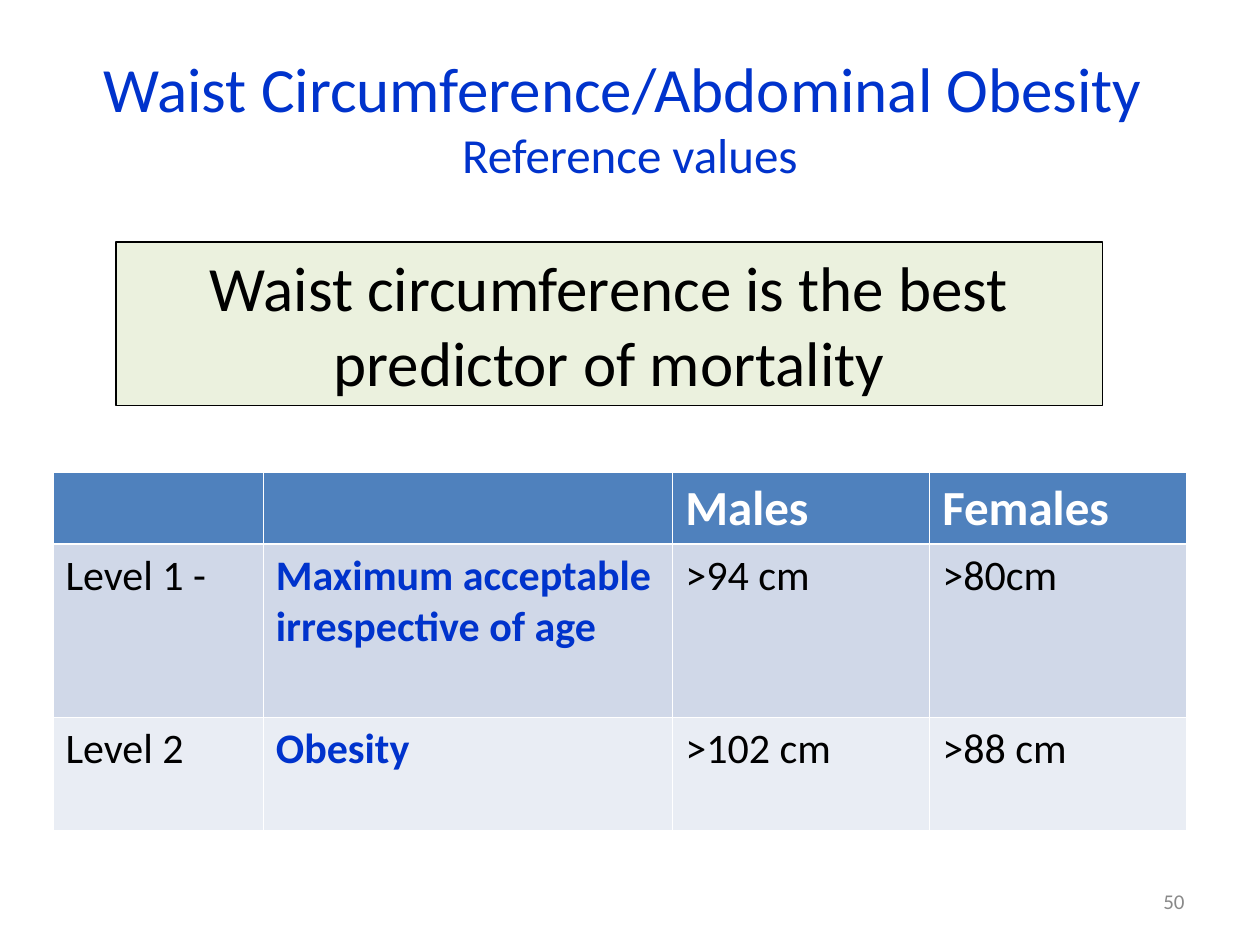
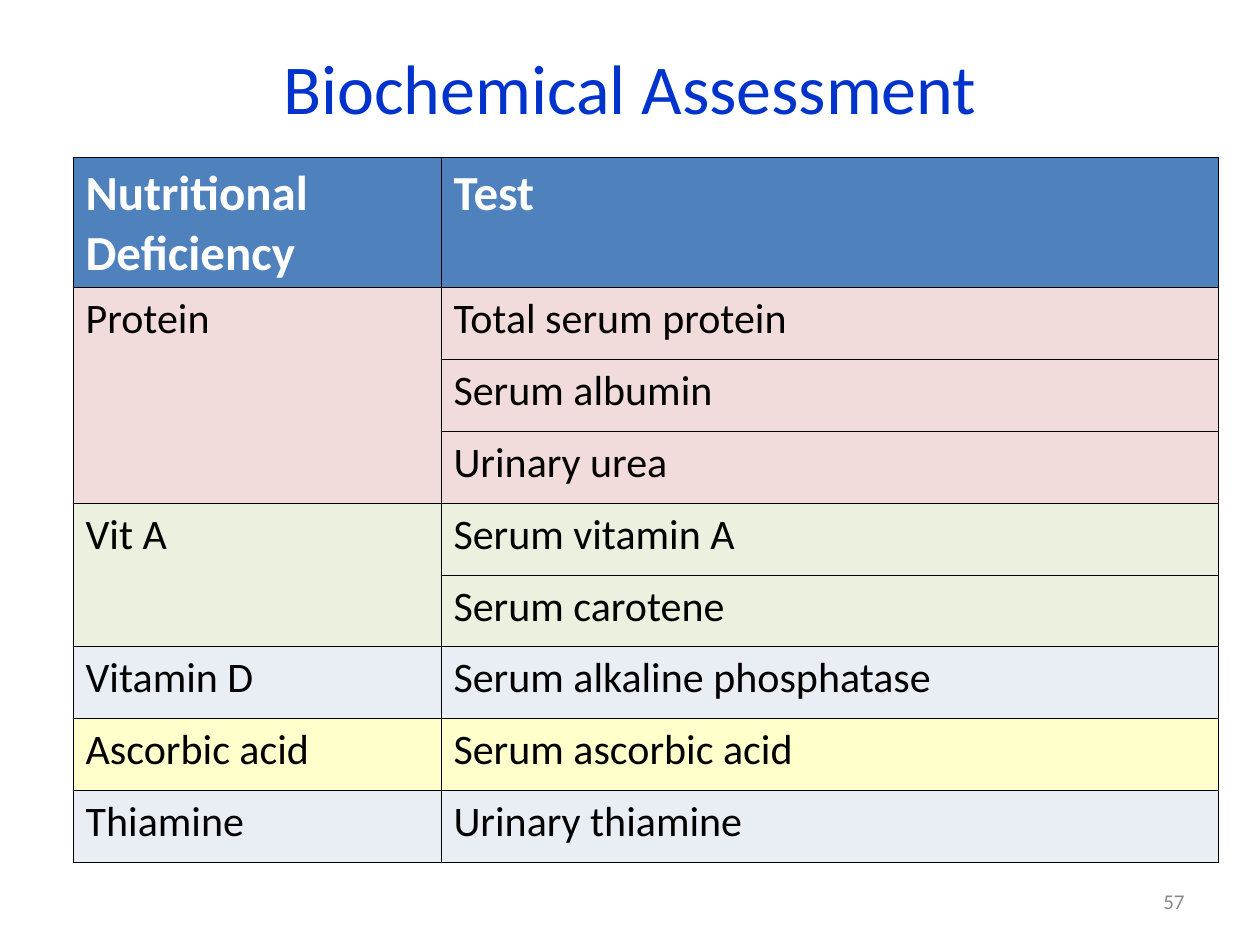
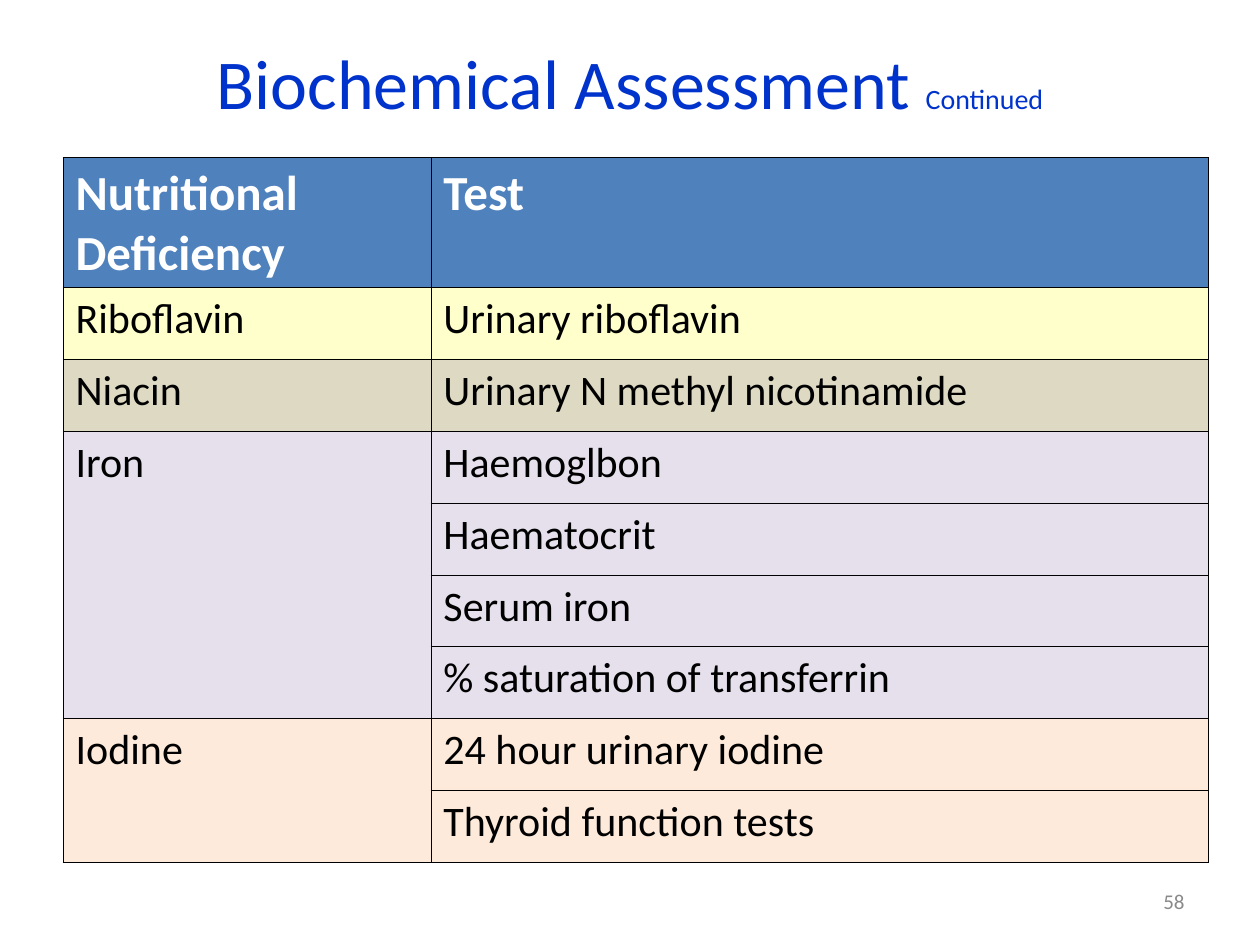
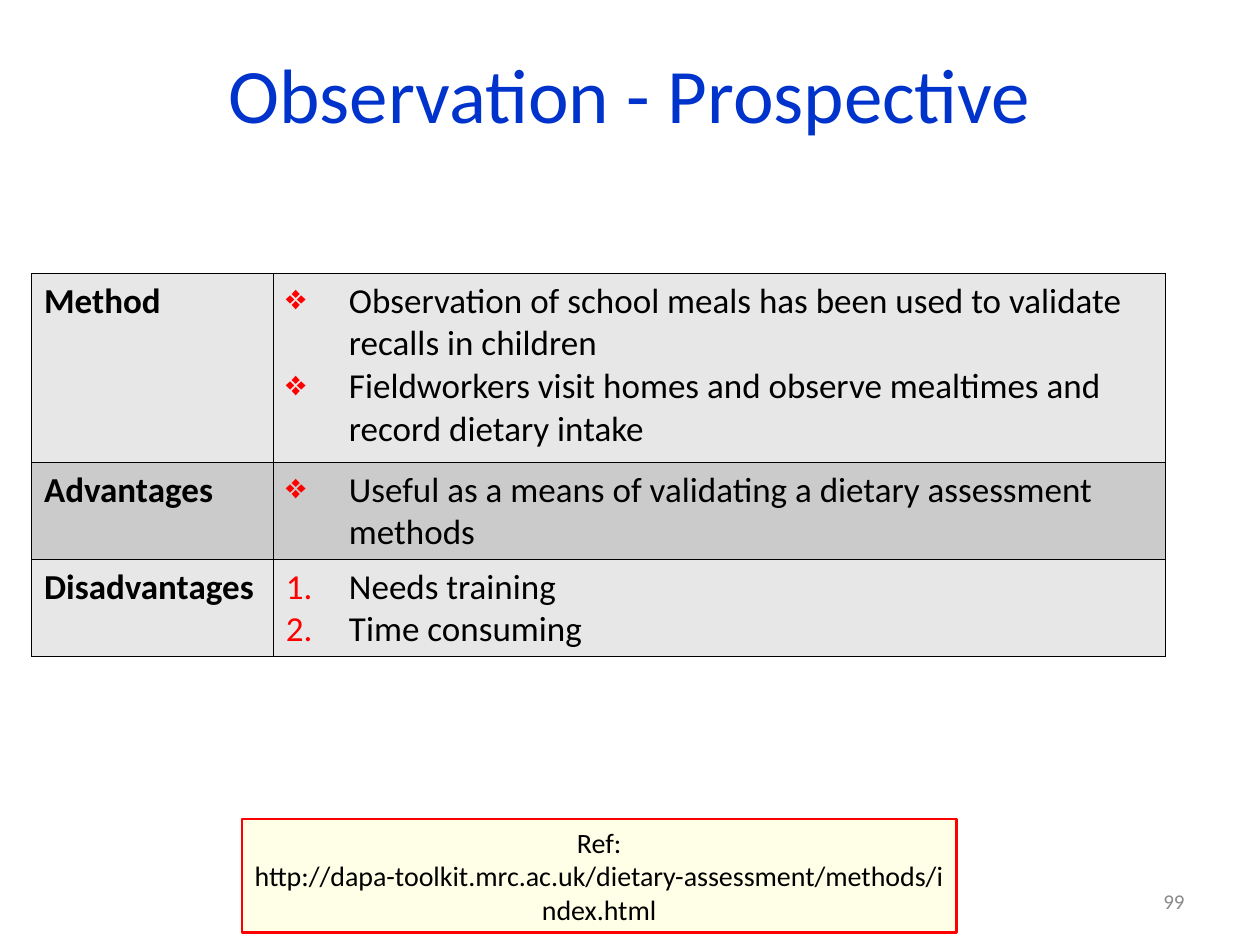
from lxml.etree import SubElement as Sub
from pptx import Presentation
from pptx.dml.color import RGBColor as RGB
from pptx.enum.shapes import MSO_SHAPE as Shape
from pptx.enum.text import MSO_ANCHOR as Anchor, MSO_AUTO_SIZE as Fit, PP_ALIGN as Align
from pptx.oxml.ns import qn
from pptx.util import Inches, Pt

# Colours
BLUE = RGB(0x00, 0x33, 0xCC)
HEAD = RGB(0x4F, 0x81, 0xBD)
BLACK = RGB(0x00, 0x00, 0x00)
WHITE = RGB(0xFF, 0xFF, 0xFF)
GREY = RGB(0x89, 0x89, 0x89)
RED = RGB(0xFF, 0x00, 0x00)
STEEL = RGB(0xD0, 0xD8, 0xE8)
ICE = RGB(0xE9, 0xED, 0xF4)
PINK = RGB(0xF2, 0xDC, 0xDB)
GREEN = RGB(0xEB, 0xF1, 0xDE)
YELLOW = RGB(0xFF, 0xFF, 0xCC)
CREAM = RGB(0xFF, 0xFF, 0xE7)
TAN = RGB(0xDD, 0xD9, 0xC3)
LILAC = RGB(0xE6, 0xE0, 0xEC)
PEACH = RGB(0xFD, 0xEA, 0xDA)
LIGHT = RGB(0xE7, 0xE7, 0xE7)
MID = RGB(0xCB, 0xCB, 0xCB)


class Deck:
    """Shared style and the current slide."""

    face = "Calibri"
    thin = 0.45

    def __init__(self):
        self.prs = Presentation()
        self.prs.slide_width = Inches(10)
        self.prs.slide_height = Inches(7.5)

    def start(self, number):
        self.slide = self.prs.slides.add_slide(self.prs.slide_layouts[5])
        box = self.slide.shapes.add_textbox(
            Inches(7.17), Inches(6.95), Inches(2.33), Inches(0.4))
        frame = box.text_frame
        frame.word_wrap = True
        frame.vertical_anchor = Anchor.MIDDLE
        frame.text = str(number)
        self.style(frame.paragraphs[0], 12, GREY, align=Align.RIGHT)

    def style(self, para, size, color, bold=False, align=Align.LEFT):
        para.alignment = align
        font = para.font
        font.name, font.size, font.bold = self.face, Pt(size), bold
        font.color.rgb = color

    def title(self, height, size, text, extra="", small=0, split=False):
        shape = self.slide.shapes.title
        shape.left, shape.top = Inches(0.5), Inches(0.3)
        shape.width, shape.height = Inches(9), Inches(height)
        frame = shape.text_frame
        frame.auto_size = Fit.NONE
        frame.vertical_anchor = Anchor.MIDDLE
        para = frame.paragraphs[0]
        para.add_run().text = text
        self.style(para, size, BLUE, align=Align.CENTER)
        if split:
            para.add_line_break()
        if extra:
            run = para.add_run()
            run.text = extra
            run.font.size = Pt(small)

    def box(self, left, top, width, height, text, size, fill, line, weight):
        shape = self.slide.shapes.add_shape(
            Shape.RECTANGLE, Inches(left), Inches(top), Inches(width), Inches(height))
        shape.shadow.inherit = False
        shape.fill.solid()
        shape.fill.fore_color.rgb = fill
        shape.line.color.rgb = line
        shape.line.width = Pt(weight)
        frame = shape.text_frame
        frame.word_wrap = True
        frame.vertical_anchor = Anchor.TOP
        frame.text = text
        self.style(frame.paragraphs[0], size, BLACK, align=Align.CENTER)

    def table(self, left, top, cols, rows):
        grid = self.slide.shapes.add_table(
            len(rows), len(cols), Inches(left), Inches(top),
            Inches(sum(cols)), Inches(sum(rows))).table
        grid.first_row = grid.horz_banding = False
        for col, width in zip(grid.columns, cols):
            col.width = Inches(width)
        for row, height in zip(grid.rows, rows):
            row.height = Inches(height)
        return grid

    def cell(self, cell, text, size, color, fill, bold=False, edge=BLACK, top=thin, base=thin):
        cell.margin_left = cell.margin_right = Inches(0.1)
        cell.margin_top = cell.margin_bottom = Inches(0.05)
        cell.fill.solid()
        cell.fill.fore_color.rgb = fill
        if text:
            cell.text = text
            self.style(cell.text_frame.paragraphs[0], size, color, bold)
        # Borders come before the fill in the cell properties
        props = cell._tc.get_or_add_tcPr()
        sides = {"lnL": self.thin, "lnR": self.thin, "lnT": top, "lnB": base}
        for spot, (side, width) in enumerate(sides.items()):
            line = Sub(props, qn("a:" + side), w=str(Pt(width)))
            Sub(Sub(line, qn("a:solidFill")), qn("a:srgbClr"), val=str(edge))
            props.insert(spot, line)

    def bullets(self, cell, items, size, count=False):
        frame = cell.text_frame
        frame.text = "\n".join(items)
        for para in frame.paragraphs:
            props = para._p.get_or_add_pPr()
            props.set("marL", str(Inches(0.5)))
            props.set("indent", str(Inches(-0.5)))
            Sub(Sub(props, qn("a:buClr")), qn("a:srgbClr"), val=str(RED))
            if count:
                Sub(props, qn("a:buAutoNum"), type="arabicPeriod")
            else:
                Sub(props, qn("a:buChar"), char="❖")
            self.style(para, size, BLACK)

    def tests(self, left, groups):
        """Deficiency table: one merged name cell for each group of tests."""
        total = sum(len(names) for _, _, names in groups)
        grid = self.table(left, 1.25, [2.92, 6.17], [1.03] + [0.57] * total)
        for col, text in enumerate(["Nutritional Deficiency", "Test"]):
            self.cell(grid.cell(0, col), text, 28, WHITE, HEAD, True)
        row = 1
        for lack, fill, names in groups:
            first = row
            for name in names:
                self.cell(grid.cell(row, 0), lack if row == first else "", 24, BLACK, fill)
                self.cell(grid.cell(row, 1), name, 24, BLACK, fill)
                row += 1
            if len(names) > 1:
                grid.cell(first, 0).merge(grid.cell(row - 1, 0))


def waist(deck):
    deck.start(50)
    deck.title(1.25, 36, "Waist Circumference/Abdominal Obesity ",
               "Reference values", 28, split=True)
    grid = deck.table(0.42, 3.75, [1.67, 3.25, 2.04, 2.04], [0.57, 1.37, 0.9])
    for col, text in enumerate(["", "", "Males", "Females"]):
        deck.cell(grid.cell(0, col), text, 28, WHITE, HEAD, True, WHITE, base=1.47)
    levels = [
        (STEEL, 1.47, ["Level 1 -", "Maximum acceptable irrespective of age",
                       ">94 cm", ">80cm"]),
        (ICE, deck.thin, ["Level 2", "Obesity", ">102 cm", ">88 cm"]),
    ]
    for row, (fill, top, texts) in enumerate(levels, 1):
        for col, text in enumerate(texts):
            key = col == 1
            deck.cell(grid.cell(row, col), text, 24, BLUE if key else BLACK,
                      fill, key, WHITE, top=top)
    deck.box(0.92, 1.92, 7.83, 1.3, "Waist circumference is the best predictor of mortality",
             36, GREEN, BLACK, 0.75)


def lab(deck):
    deck.start(57)
    deck.title(0.78, 40, "Biochemical Assessment")
    deck.tests(0.58, [
        ("Protein", PINK, ["Total serum protein", "Serum albumin", "Urinary urea"]),
        ("Vit A", GREEN, ["Serum vitamin A", "Serum carotene"]),
        ("Vitamin D", ICE, ["Serum alkaline phosphatase"]),
        ("Ascorbic acid", YELLOW, ["Serum ascorbic acid"]),
        ("Thiamine", ICE, ["Urinary thiamine"]),
    ])


def more(deck):
    deck.start(58)
    deck.title(0.7, 40, "Biochemical Assessment ", "Continued", 16)
    deck.tests(0.5, [
        ("Riboflavin", YELLOW, ["Urinary riboflavin"]),
        ("Niacin", TAN, ["Urinary N methyl nicotinamide"]),
        ("Iron", LILAC, ["Haemoglbon", "Haematocrit", "Serum iron",
                         "% saturation of transferrin"]),
        ("Iodine", PEACH, ["24 hour urinary iodine", "Thyroid function tests"]),
    ])


def watch(deck):
    deck.start(99)
    deck.title(0.87, 44, "Observation - Prospective")
    grid = deck.table(0.25, 2.17, [1.92, 7.08], [1.5, 0.77, 0.77])
    points = [
        ("Method", LIGHT, [
            "Observation of school meals has been used to validate recalls in children",
            "Fieldworkers visit homes and observe mealtimes and record dietary intake"]),
        ("Advantages", MID, [
            "Useful as a means of validating a dietary assessment methods"]),
        ("Disadvantages", LIGHT, ["Needs training", "Time consuming"]),
    ]
    for row, (head, fill, items) in enumerate(points):
        deck.cell(grid.cell(row, 0), head, 20, BLACK, fill, True)
        deck.cell(grid.cell(row, 1), "", 20, BLACK, fill)
        deck.bullets(grid.cell(row, 1), items, 20, head == "Disadvantages")
    deck.box(1.92, 6.5, 5.67, 0.9,
             "Ref: http://dapa-toolkit.mrc.ac.uk/dietary-assessment/methods/index.html",
             16, CREAM, RED, 1.5)


def main():
    deck = Deck()
    for build in (waist, lab, more, watch):
        build(deck)
    deck.prs.save("out.pptx")


if __name__ == "__main__":
    main()
